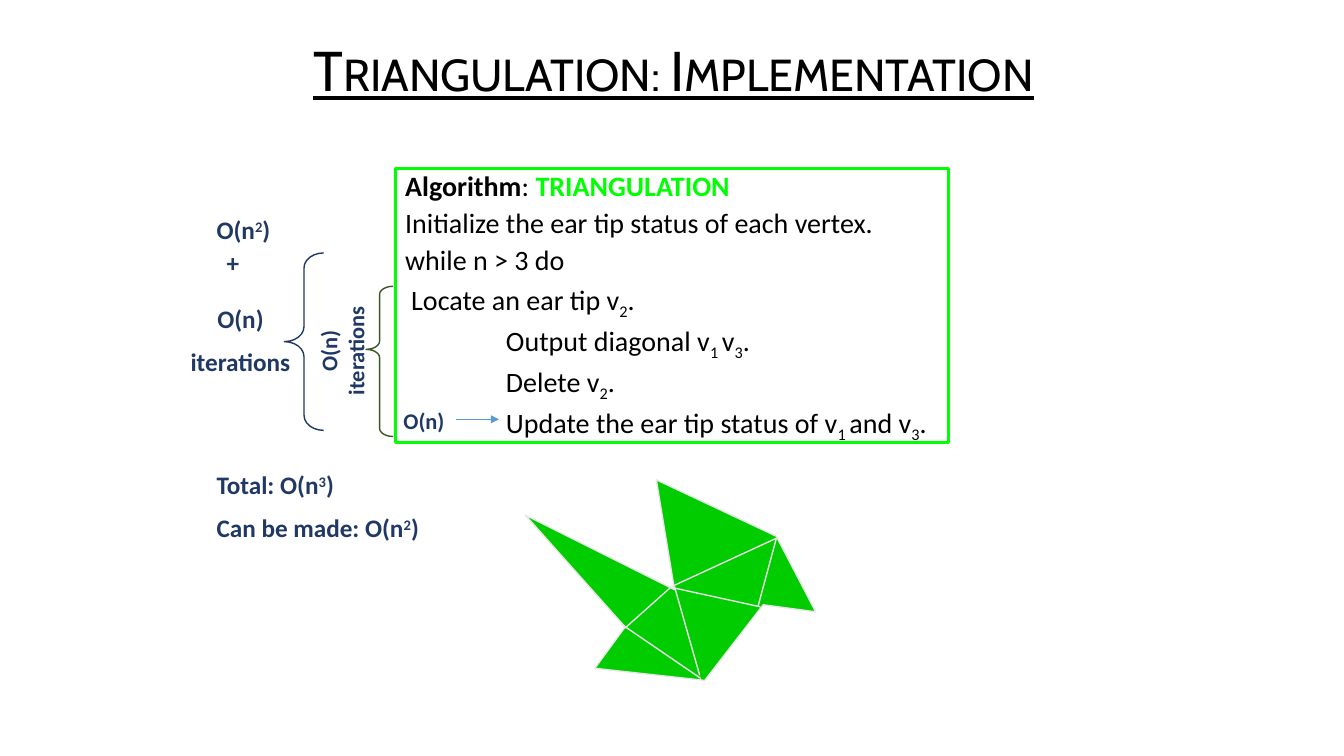
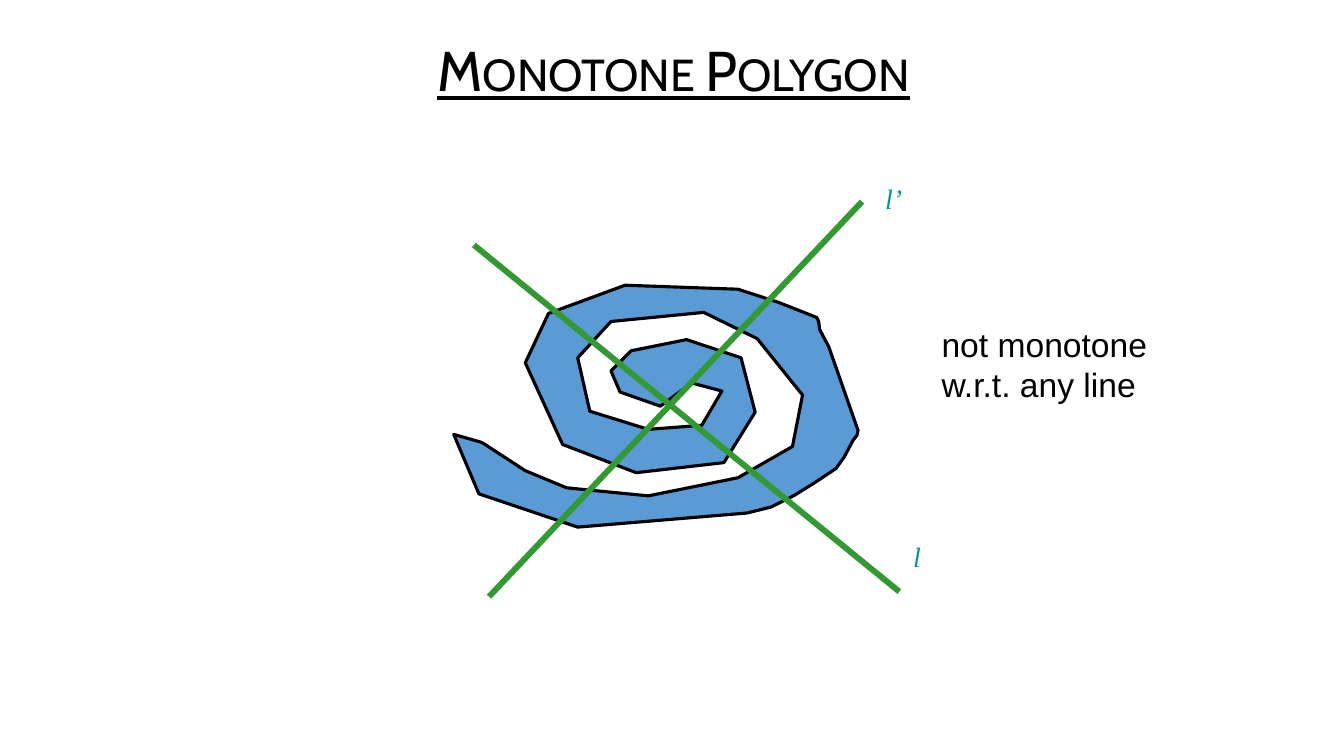
from lxml import etree
from pptx import Presentation
from pptx import util as u
from pptx.dml.color import RGBColor
from pptx.enum import shapes, text
from pptx.oxml import ns

COLORS = {
    "ink": "000000", "navy": "203864", "frame": "00FF00", "bird": "00CC00",
    "diagonal": "E7E6E6", "olive": "385723", "blue": "5B9BD5",
    "sweep": "339933", "teal": "009999",
}
BASELINES = {"_": "-25000", "^": "30000"}
LEFT, CENTER = text.PP_ALIGN.LEFT, text.PP_ALIGN.CENTER

# Polygon corners, in inches
BIRD = [(5.21, 5.11), (6.69, 5.85), (6.51, 4.76), (7.7, 5.32), (8.09, 6.07),
        (7.57, 6), (6.99, 6.75), (5.9, 6.63), (6.2, 6.22)]
DIAGONALS = [((6.66, 5.82), (7.7, 5.34)), ((7.7, 5.34), (7.52, 6.01)),
             ((6.67, 5.83), (7.54, 6.02)), ((6.2, 6.23), (6.66, 5.82)),
             ((6.94, 6.7), (6.69, 5.82)), ((6.95, 6.73), (6.16, 6.19))]
SPIRAL = [
    (6.86, 3.8), (6.55, 4.03), (6.15, 3.89), (6.06, 3.68), (6.26, 3.48),
    (6.81, 3.37), (7.35, 3.55), (7.49, 4.09), (7.18, 4.59), (6.31, 4.69),
    (5.58, 4.41), (5.21, 3.6), (5.44, 3.11), (6.2, 2.83), (7.32, 2.87),
    (7.72, 3), (8.1, 3.15), (8.12, 3.19), (8.13, 3.27), (8.22, 3.44),
    (8.51, 4.27), (8.5, 4.32), (8.46, 4.37), (8.37, 4.54), (8.29, 4.65),
    (8.08, 4.79), (7.87, 4.92), (7.65, 5.03), (7.41, 5.09), (5.73, 5.23),
    (4.75, 4.9), (4.5, 4.31), (4.78, 4.39), (5.21, 4.67), (5.62, 4.84),
    (6.43, 4.92), (7.32, 4.74), (7.86, 4.43), (7.96, 3.92), (7.51, 3.36),
    (6.98, 3.1), (6.06, 3.19), (5.73, 3.55), (5.85, 4.08), (6.43, 4.26),
    (6.96, 4.22), (7.16, 3.88)]

# Algorithm steps: left indent in inches, wording
STEPS = [
    (0, "Algorithm|: |TRIANGULATION"),
    (0, "Initialize the ear tip status of each vertex."),
    (0, "while n > 3 do"),
    (0.06, "Locate an ear tip v|_2|."),
    (1, "Output diagonal v|_1 |v|_3|."),
    (1, "Delete v|_2|."),
    (1, "Update the ear tip status of v|_1 |and v|_3|."),
]


def rgb(name):
    return RGBColor.from_string(COLORS[name])


def inches(values):
    return [u.Inches(v) for v in values]


# Text
def write(paragraph, wording, size, color, font="Calibri", align=LEFT,
          before=0, bold=False, italic=False):
    """Split wording at "|"; a part led by _ or ^ is lowered or raised."""
    style = paragraph.font
    style.name, style.size = font, u.Pt(size)
    style.bold, style.italic = bold, italic
    style.color.rgb = rgb(color)
    paragraph.alignment = align
    paragraph.space_before = u.Pt(before)
    for part in wording.split("|"):
        run = paragraph.add_run()
        run.text = part.lstrip("_^")
        if part[0] in BASELINES:
            run.font._element.set("baseline", BASELINES[part[0]])


def paragraphs(frame, count):
    return [frame.paragraphs[0]] + [frame.add_paragraph() for _ in range(count - 1)]


def add_label(slide, box, lines, size, color, rotation=0, **style):
    label = slide.shapes.add_textbox(*inches(box))
    label.rotation = rotation
    frame = label.text_frame
    frame.word_wrap = True
    for paragraph, line in zip(paragraphs(frame, len(lines)), lines):
        write(paragraph, line, size, color, **style)
    return frame


def add_title(slide, wording):
    frame = add_label(slide, (1.76, 0.3, 9.84, 0.85), [wording], 40, "ink",
                      font="Cabin", align=CENTER)
    frame.vertical_anchor = text.MSO_ANCHOR.MIDDLE
    heading = frame.paragraphs[0]
    heading.line_spacing = 0.9
    heading.font.underline = True
    heading.font._element.set("cap", "small")


# Shapes
def outline(shape, color, width, fill=None):
    shape.shadow.inherit = False
    shape.line.color.rgb = rgb(color)
    shape.line.width = u.Pt(width)
    if fill:
        shape.fill.solid()
        shape.fill.fore_color.rgb = rgb(fill)
    else:
        shape.fill.background()


def add_polygon(slide, corners, fill, color, width):
    start, *others = [inches(corner) for corner in corners]
    builder = slide.shapes.build_freeform(*start)
    builder.add_line_segments(others, close=True)
    outline(builder.convert_to_shape(), color, width, fill)


def add_brace(slide, box, color, curl, point):
    brace = slide.shapes.add_shape(shapes.MSO_SHAPE.LEFT_BRACE, *inches(box))
    brace.adjustments[0], brace.adjustments[1] = curl, point
    outline(brace, color, 1)


def add_line(slide, start, end, color, width, arrow=False):
    line = slide.shapes.add_connector(
        shapes.MSO_CONNECTOR.STRAIGHT, *inches(start + end))
    line.line.color.rgb = rgb(color)
    line.line.width = u.Pt(width)
    if arrow:
        etree.SubElement(line.line._get_or_add_ln(), ns.qn("a:tailEnd"), type="triangle")
    etree.SubElement(line._element.spPr, ns.qn("a:effectLst"))


def add_algorithm(slide):
    panel = slide.shapes.add_shape(
        shapes.MSO_SHAPE.RECTANGLE, *inches((3.92, 1.67, 5.49, 2.72)))
    outline(panel, "frame", 2.25)
    frame = panel.text_frame
    frame.word_wrap = True
    frame.vertical_anchor = text.MSO_ANCHOR.TOP
    for paragraph, (indent, step) in zip(paragraphs(frame, len(STEPS)), STEPS):
        write(paragraph, step, 20, "ink", before=6)
        paragraph.line_spacing = 0.85
        paragraph._p.get_or_add_pPr().set("marL", str(u.Inches(indent)))
    keyword, _, name = frame.paragraphs[0].runs
    keyword.font.bold = name.font.bold = True
    name.font.color.rgb = rgb("frame")


# Slides
def triangulation_slide(slide):
    add_title(slide, "Triangulation: Implementation")
    add_algorithm(slide)

    # Triangulated polygon
    add_polygon(slide, BIRD, "bird", "diagonal", 1)
    for start, end in DIAGONALS:
        add_line(slide, start, end, "diagonal", 1)

    # Running time
    for box, lines, align in [
        ((2.05, 2.08, 1.1, 0.4), ["O(n|^2|)"], LEFT),
        ((2.15, 2.4, 0.47, 0.4), ["+"], LEFT),
        ((1.64, 2.96, 1.49, 0.86), ["O(n)", "iterations"], CENTER),
        ((2.05, 4.61, 2.37, 0.86),
         ["Total: O(n|^3|)", "Can be made: O(n|^2|)"], LEFT),
    ]:
        add_label(slide, box, lines, 18, "navy", align=align, before=9, bold=True)
    add_brace(slide, (2.82, 2.51, 0.39, 1.76), "navy", 0.38, 0.5)
    add_brace(slide, (3.63, 2.84, 0.27, 1.49), "olive", 0.3, 0.42)
    add_label(slide, (2.65, 3.16, 1.49, 0.64), ["O(n)", "iterations"], 16, "navy",
              rotation=270, align=CENTER, bold=True)
    add_label(slide, (3.46, 3.99, 1.49, 0.37), ["O(n)"], 16, "navy",
              align=CENTER, bold=True)
    add_line(slide, (4.52, 4.16), (4.95, 4.16), "blue", 0.5, arrow=True)


def monotone_slide(slide):
    add_title(slide, "Monotone Polygon")
    add_polygon(slide, SPIRAL, "blue", "ink", 2.25)

    # Lines and their names
    for start, end, corner, name in [
        ((8.92, 5.87), (4.7, 2.43), (8.53, 5.3), "l"),
        ((4.85, 5.92), (8.55, 2), (8.3, 1.75), "l’"),
    ]:
        add_line(slide, start, end, "sweep", 4.25)
        add_label(slide, corner + (1.13, 0.44), [name], 20, "teal",
                  font="Times New Roman", align=CENTER, italic=True)
    add_label(slide, (9.24, 3.16, 2.42, 0.91), ["not monotone w.r.t. any line"],
              24, "ink", font="Arial")


def main():
    deck = Presentation()
    deck.slide_width, deck.slide_height = inches((13.33, 7.5))
    for build in (triangulation_slide, monotone_slide):
        build(deck.slides.add_slide(deck.slide_layouts[6]))
    deck.save("out.pptx")


if __name__ == "__main__":
    main()
